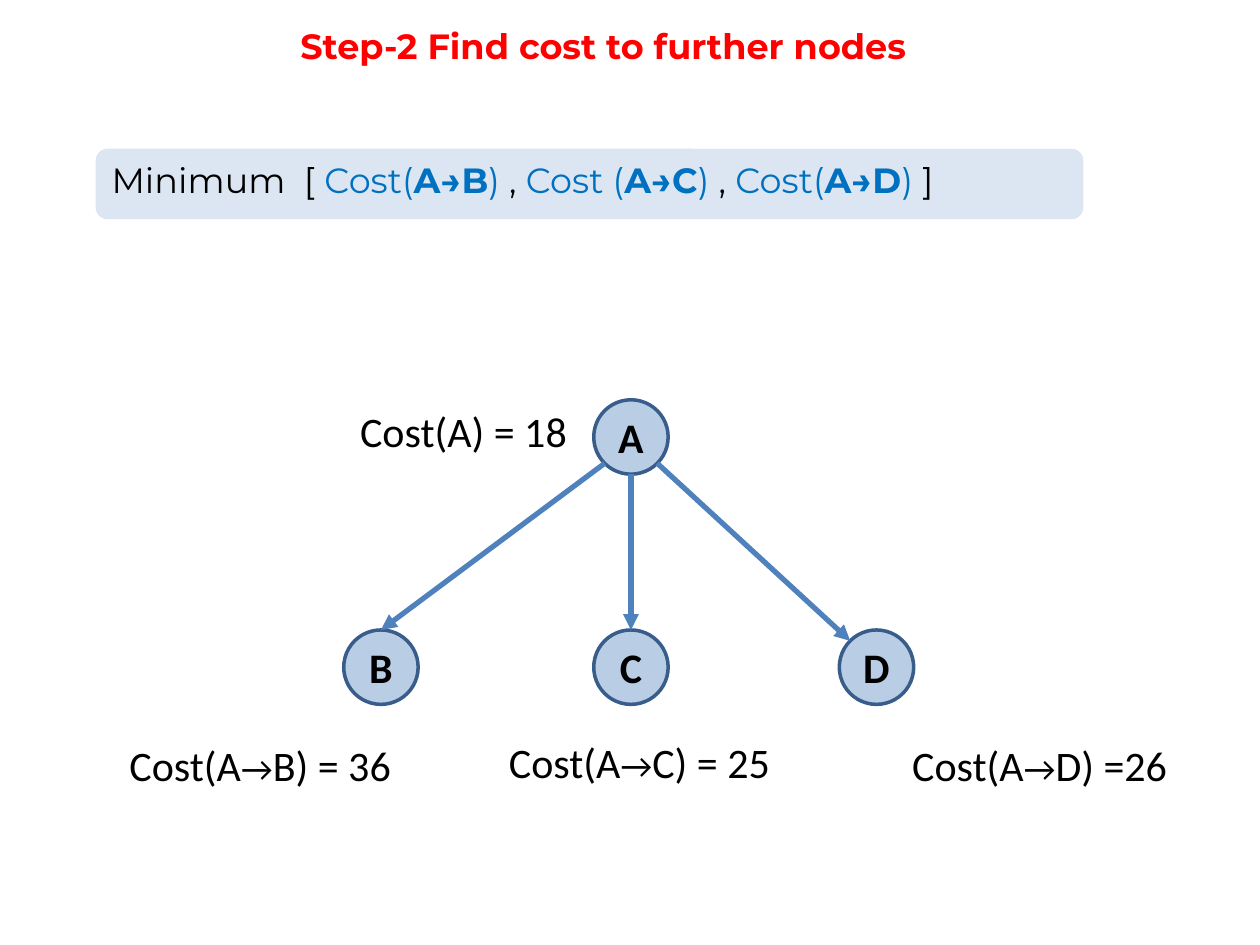
from math import cos, radians, sin
from typing import NamedTuple

from lxml import etree
from pptx import Presentation
from pptx.dml.color import RGBColor
from pptx.enum.shapes import MSO_CONNECTOR, MSO_SHAPE
from pptx.enum.text import MSO_ANCHOR, PP_ALIGN
from pptx.oxml.ns import qn
from pptx.util import Cm, Pt

OVAL, ROUNDED = MSO_SHAPE.OVAL, MSO_SHAPE.ROUNDED_RECTANGLE
STRAIGHT = MSO_CONNECTOR.STRAIGHT
TOP, MIDDLE = MSO_ANCHOR.TOP, MSO_ANCHOR.MIDDLE
LEFT, CENTER, JUSTIFY = PP_ALIGN.LEFT, PP_ALIGN.CENTER, PP_ALIGN.JUSTIFY

COLORS = {
    "title": "FF0000",
    "text": "000000",
    "cost": "0070C0",
    "panel": "DCE6F2",
    "node": "B9CDE5",
    "outline": "385D8A",
    "arrow": "4F81BD",
}
HEADING_FONT, BODY_FONT = "Montserrat", "Calibri"
DIAMETER = 1.5


class Run(NamedTuple):
    text: str
    color: str = "text"
    bold: bool = False
    size: float = 24


class Node(NamedTuple):
    name: str
    left: float
    top: float

    def rim(self, degrees: float) -> tuple[float, float]:
        """Point on the circle, clockwise from the right-hand side."""
        radius, angle = DIAMETER / 2, radians(degrees)
        return (self.left + radius + radius * cos(angle),
                self.top + radius + radius * sin(angle))


class Label(NamedTuple):
    runs: list[Run]
    left: float
    top: float
    width: float


class Arrow(NamedTuple):
    source: Node
    source_angle: float
    target: Node
    target_angle: float


def rgb(name: str) -> RGBColor:
    return RGBColor.from_string(COLORS[name])


def write_text(shape, runs: list[Run], *, font: str = BODY_FONT,
               align=LEFT, anchor=TOP) -> None:
    frame = shape.text_frame
    frame.word_wrap = True
    frame.vertical_anchor = anchor
    paragraph = frame.paragraphs[0]
    paragraph.alignment = align
    for item in runs:
        run = paragraph.add_run()
        run.text = item.text
        run.font.name = font
        run.font.size = Pt(item.size)
        run.font.bold = item.bold
        run.font.color.rgb = rgb(item.color)


def add_text_box(slide, left: float, top: float, width: float, height: float,
                 runs: list[Run], **text_format) -> None:
    box = slide.shapes.add_textbox(Cm(left), Cm(top), Cm(width), Cm(height))
    write_text(box, runs, **text_format)


def add_filled_shape(slide, kind, left: float, top: float, width: float,
                     height: float, fill: str):
    shape = slide.shapes.add_shape(kind, Cm(left), Cm(top), Cm(width), Cm(height))
    shape.shadow.inherit = False
    shape.fill.solid()
    shape.fill.fore_color.rgb = rgb(fill)
    shape.line.fill.background()
    return shape


def add_node(slide, node: Node) -> None:
    circle = add_filled_shape(slide, OVAL, node.left, node.top,
                              DIAMETER, DIAMETER, "node")
    circle.line.color.rgb = rgb("outline")
    circle.line.width = Pt(2)
    write_text(circle, [Run(node.name, bold=True)], align=CENTER, anchor=MIDDLE)


def add_arrow(slide, arrow: Arrow) -> None:
    start = arrow.source.rim(arrow.source_angle)
    end = arrow.target.rim(arrow.target_angle)
    connector = slide.shapes.add_connector(
        STRAIGHT, *(Cm(value) for value in start + end))
    connector.line.color.rgb = rgb("arrow")
    connector.line.width = Pt(3)
    etree.SubElement(connector.line._get_or_add_ln(), qn("a:tailEnd"), type="triangle")
    etree.SubElement(connector._element.spPr, qn("a:effectLst"))


def path_cost(target: str, value: str) -> list[Run]:
    return [Run("Cost(A"), Run("→", size=20), Run(f"{target}) {value}")]


def minimum_runs() -> list[Run]:
    runs = [Run("Minimum  [ ", size=20)]
    for opening, target, separator in (
            ("Cost(", "B", ", "), ("Cost (", "C", ", "), ("Cost(", "D", "]")):
        runs += [Run(opening, "cost", size=20),
                 Run(f"A→{target}", "cost", True, 20),
                 Run(") ", "cost", size=20),
                 Run(separator, size=20)]
    return runs


def main() -> None:
    presentation = Presentation()
    presentation.slide_width, presentation.slide_height = Cm(25.4), Cm(19.05)
    slide = presentation.slides.add_slide(presentation.slide_layouts[6])

    add_text_box(slide, 0, -0.2, 24.33, 2.24,
                 [Run("Step-2 Find cost to further nodes", "title", True, 20)],
                 font=HEADING_FONT, align=CENTER, anchor=MIDDLE)

    panel = add_filled_shape(slide, ROUNDED, 1.93, 3, 19.91, 1.42, "panel")
    write_text(panel, minimum_runs(), font=HEADING_FONT, align=JUSTIFY)

    root = Node("A", 11.97, 8.06)
    children = [Node(name, left, 12.7)
                for name, left in (("B", 6.93), ("C", 11.97), ("D", 16.92))]
    for node in [root, *children]:
        add_node(slide, node)

    for child, source_angle, target_angle in zip(
            children, (135, 90, 45), (270, 270, 225)):
        add_arrow(slide, Arrow(root, source_angle, child, target_angle))

    labels = [
        Label([Run("Cost(A) = 18")], 7.01, 8.05, 5),
        Label(path_cost("B", "= 36"), 2.36, 14.79, 5.87),
        Label(path_cost("C", "= 25"), 10.01, 14.73, 5.87),
        Label(path_cost("D", "=26"), 18.14, 14.79, 5.87),
    ]
    for label in labels:
        add_text_box(slide, label.left, label.top, label.width, 1.3, label.runs)

    presentation.save("out.pptx")


if __name__ == "__main__":
    main()
